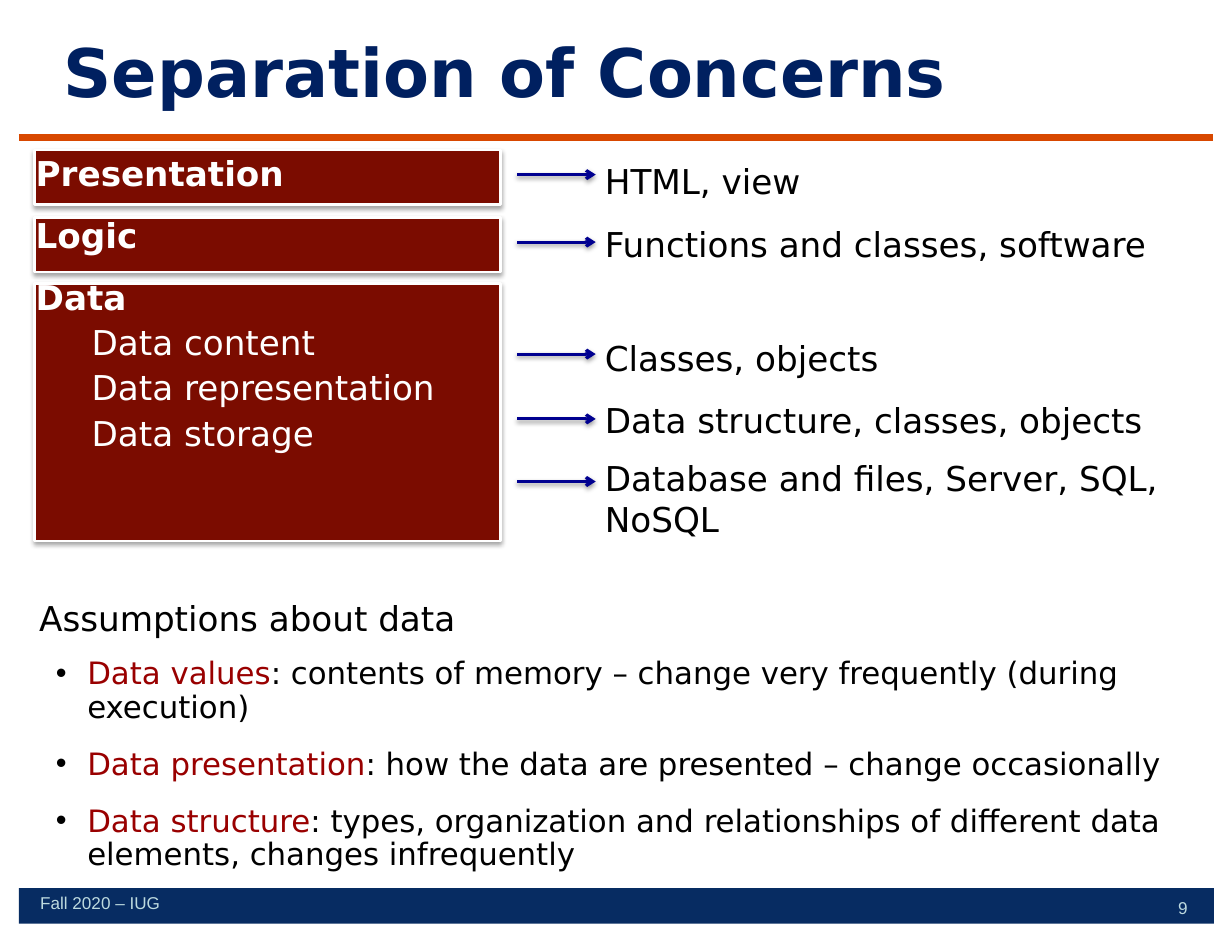
"""Builds the Separation of Concerns slide: layers, what they hold, and data assumptions."""
from lxml import etree
from pptx import Presentation
from pptx.dml.color import RGBColor
from pptx.enum.shapes import MSO_CONNECTOR, MSO_SHAPE
from pptx.enum.text import MSO_ANCHOR, MSO_AUTO_SIZE, PP_ALIGN
from pptx.oxml import parse_xml
from pptx.oxml.ns import qn
from pptx.util import Cm, Pt

STRAIGHT, RECTANGLE = MSO_CONNECTOR.STRAIGHT, MSO_SHAPE.RECTANGLE
TOP, BOTTOM, CENTER, LEFT = MSO_ANCHOR.TOP, MSO_ANCHOR.BOTTOM, PP_ALIGN.CENTER, PP_ALIGN.LEFT
NO_AUTOFIT = MSO_AUTO_SIZE.NONE
DRAWING_NS = "http://schemas.openxmlformats.org/drawingml/2006/main"
SANS = "DejaVu Sans"
color = RGBColor.from_string


def add_shadow(item, opacity):
    """Gives a shape or connector a soft shadow below it."""
    for old in item._element.spPr.findall(qn("a:effectLst")):
        item._element.spPr.remove(old)
    item._element.spPr.append(parse_xml(
        f'<a:effectLst xmlns:a="{DRAWING_NS}">'
        f'<a:outerShdw blurRad="{Pt(3.1)}" dist="{Pt(1.7)}" dir="5400000" rotWithShape="0">'
        f'<a:srgbClr val="000000"><a:alpha val="{opacity * 1000}"/></a:srgbClr>'
        '</a:outerShdw></a:effectLst>'))


def write(frame, paragraphs, inset=(0, 0), anchor=TOP):
    """Fills a text frame with (runs, paragraph format, margin, hanging, bullet) entries."""
    side, edge = inset
    settings = {"word_wrap": True, "auto_size": NO_AUTOFIT, "vertical_anchor": anchor,
                "margin_left": Cm(side), "margin_right": Cm(side),
                "margin_top": Cm(edge), "margin_bottom": Cm(edge)}
    for key, value in settings.items():
        setattr(frame, key, value)
    for index, (runs, layout, margin, hanging, bullet) in enumerate(paragraphs):
        paragraph = frame.add_paragraph() if index else frame.paragraphs[0]
        properties = paragraph._p.get_or_add_pPr()
        properties.set("marL", str(Cm(margin)))
        properties.set("indent", str(-Cm(hanging)))
        if bullet:
            bullet_color = etree.SubElement(properties, qn("a:buClr"))
            etree.SubElement(bullet_color, qn("a:srgbClr"), val="000000")
            etree.SubElement(properties, qn("a:buFont"), typeface="Arial")
            etree.SubElement(properties, qn("a:buChar"), char=bullet)
        else:
            etree.SubElement(properties, qn("a:buNone"))
        for key, value in {"alignment": LEFT, "space_before": Pt(0), **layout}.items():
            setattr(paragraph, key, value)
        for words, size, hue, bold, typeface in runs:
            run = paragraph.add_run()
            run.text = words
            for key, value in {"size": Pt(size), "bold": bold, "name": typeface}.items():
                setattr(run.font, key, value)
            run.font.color.rgb = color(hue)


deck = Presentation()
deck.slide_width, deck.slide_height = Cm(27.94), Cm(21.59)
slide = deck.slides.add_slide(deck.slide_layouts[1])
shapes = slide.shapes
title, layers = slide.placeholders

footer_band = shapes.add_shape(RECTANGLE, Cm(0.43), Cm(20.14), Cm(27.1), Cm(0.81))
footer_band.shadow.inherit = False
footer_band.fill.solid()
footer_band.fill.fore_color.rgb = color("072C62")
footer_band.line.fill.background()

title_rule = shapes.add_connector(STRAIGHT, Cm(0.43), Cm(3.12), Cm(27.51), Cm(3.12))
title_rule.line.color.rgb = color("D84800")
title_rule.line.width = Pt(5)
etree.SubElement(title_rule._element.spPr, qn("a:effectLst"))

for top, height in [(3.4, 1.24), (4.93, 1.24), (6.43, 5.84)]:
    layer_box = shapes.add_shape(RECTANGLE, Cm(0.79), Cm(top), Cm(10.57), Cm(height))
    layer_box.fill.solid()
    layer_box.fill.fore_color.rgb = color("7B0C00")
    layer_box.line.color.rgb = color("FFFFFF")
    layer_box.line.width = Pt(1.75)
    add_shadow(layer_box, 35)

for placeholder, left, top, width, height in [(title, 0.91, 0.64, 21.08, 1.88),
                                              (layers, 0.81, 3.35, 11.05, 10.01)]:
    shapes._spTree.append(placeholder._element)
    for key, value in {"left": left, "top": top, "width": width, "height": height}.items():
        setattr(placeholder, key, Cm(value))

write(title.text_frame,
      [([("Separation of Concerns", 43, "002060", True, SANS)], {"alignment": CENTER}, 0, 0, None)],
      anchor=BOTTOM)

layer_lines = []
for index, name in enumerate(["Presentation", "Logic", "Data"]):
    layout = {"line_spacing": 1.1, "space_before": Pt(11 if index else 0)}
    layer_lines.append(([(name, 22, "FFFFFF", True, SANS)], layout, 0, 0, None))
for name in ["Data content", "Data representation", "Data storage"]:
    layout = {"level": 1, "line_spacing": 1.1}
    layer_lines.append(([(name, 22, "FFFFFF", False, SANS)], layout, 1.27, 0, None))
write(layers.text_frame, layer_lines)

examples = shapes.add_textbox(Cm(13.44), Cm(3.4), Cm(14.15), Cm(10.9))
example_lines = [("HTML, view", 0, 1.1), ("Functions and classes, software", 11, 1.1),
                 ("Classes, objects", 44.5, 1.1), ("Data structure, classes, objects", 11, 1.1),
                 ("Database and files, Server, SQL, NoSQL", 11, 1.0)]
write(examples.text_frame,
      [([(words, 22, "000000", False, SANS)],
        {"line_spacing": spacing, "space_before": Pt(before)}, 0, 0, None)
       for words, before, spacing in example_lines], (0.28, 0.15))

for y in [3.96, 5.49, 8.03, 9.5, 10.92]:
    arrow = shapes.add_connector(STRAIGHT, Cm(11.73), Cm(y), Cm(13.51), Cm(y))
    arrow.line.color.rgb = color("000090")
    arrow.line.width = Pt(2)
    etree.SubElement(arrow.line._get_or_add_ln(), qn("a:tailEnd"), type="arrow")
    add_shadow(arrow, 38)

assumptions = [
    ("Data values", ": contents of memory – change very frequently (during execution)", 11),
    ("Data presentation", ": how the data are presented – change occasionally", 13.2),
    ("Data structure", ": types, organization and relationships of different data elements, "
     "changes infrequently", 13.2),
]
assumption_lines = [([("Assumptions about data", 22, "000000", False, SANS)],
                     {"space_after": Pt(2)}, 0, 0, None)]
for term, meaning, before in assumptions:
    layout = {"line_spacing": 0.9, "space_before": Pt(before), "space_after": Pt(2)}
    runs = [(term, 19.8, "990000", False, SANS), (meaning, 19.8, "000000", False, SANS)]
    assumption_lines.append((runs, layout, 1.09, 0.71, "•"))
assumption_list = shapes.add_textbox(Cm(0.61), Cm(13.39), Cm(26.87), Cm(6.27))
write(assumption_list.text_frame, assumption_lines, (0.28, 0.15))

for words, left, top, width in [("Fall 2020 – IUG", 0.91, 20.24, 5.94), ("9", 26.72, 20.35, 0.4)]:
    footer = shapes.add_textbox(Cm(left), Cm(top), Cm(width), Cm(0.51))
    write(footer.text_frame,
          [([(words, 11, "BDDADF", False, "Arial")], {"line_spacing": Pt(13.2)}, 0, 0, None)])

deck.save("out.pptx")
